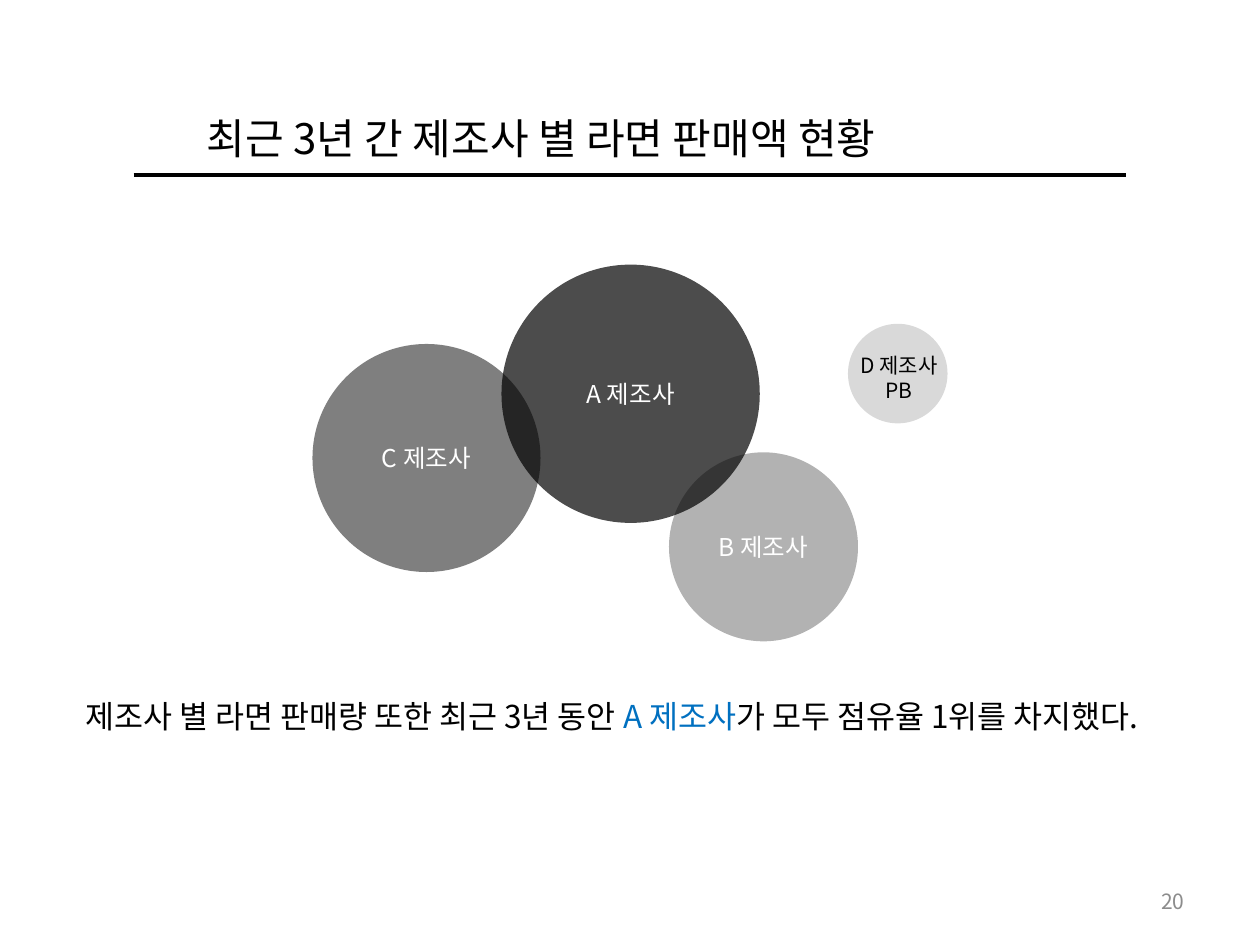
from lxml import etree
from pptx import Presentation
from pptx.dml.color import RGBColor
from pptx.enum.shapes import MSO_CONNECTOR, MSO_SHAPE
from pptx.enum.text import MSO_ANCHOR, MSO_AUTO_SIZE, PP_ALIGN
from pptx.oxml.ns import qn
from pptx.util import Emu, Pt

FONT = "Noto Sans CJK KR"
BLACK, WHITE, GRAY, BLUE = "000000", "FFFFFF", "8C8C8C", "0070C0"
LEFT, CENTER, RIGHT = PP_ALIGN.LEFT, PP_ALIGN.CENTER, PP_ALIGN.RIGHT
TOP, MIDDLE = MSO_ANCHOR.TOP, MSO_ANCHOR.MIDDLE
GROW, FIXED = MSO_AUTO_SIZE.SHAPE_TO_FIT_TEXT, MSO_AUTO_SIZE.NONE
OVAL, STRAIGHT = MSO_SHAPE.OVAL, MSO_CONNECTOR.STRAIGHT
TITLE_ONLY = 5


def px(n):
    """100 px to the inch."""
    return Emu(n * 9144)


def color(code):
    return RGBColor.from_string(code)


class Deck:
    def __init__(self):
        self.file = Presentation()
        self.file.slide_width, self.file.slide_height = px(1000), px(750)
        layout = self.file.slide_layouts[TITLE_ONLY]
        self.slide = self.file.slides.add_slide(layout)
        self.shapes = self.slide.shapes

    def style(self, frame, size, tint, align=LEFT, anchor=TOP, fit=FIXED):
        frame.word_wrap = True
        frame.auto_size = fit
        frame.vertical_anchor = anchor
        for para in frame.paragraphs:
            para.alignment = align
            for run in para.runs:
                run.font.size = Pt(size)
                run.font.name = FONT
                run.font.color.rgb = color(tint)
                east = etree.SubElement(run.font._element, qn("a:ea"))
                east.set("typeface", FONT)

    def title(self, text, x, y, w, h, hang):
        shape = self.shapes.title
        shape.left, shape.top, shape.width, shape.height = map(px, (x, y, w, h))
        frame = shape.text_frame
        frame.text = text
        props = frame.paragraphs[0]._p.get_or_add_pPr()
        props.set("marL", str(px(hang)))
        props.set("indent", str(-px(hang)))
        self.style(frame, 24, BLACK, fit=GROW)

    def rule(self, x1, x2, y):
        line = self.shapes.add_connector(STRAIGHT, px(x1), px(y), px(x2), px(y))
        line.line.color.rgb = color(BLACK)
        line.line.width = Pt(2)
        etree.SubElement(line._element.spPr, qn("a:effectLst"))

    def text(self, parts, x, y, w, h, size, tint=BLACK, **look):
        frame = self.shapes.add_textbox(*map(px, (x, y, w, h))).text_frame
        frame.text = parts[0]
        for part in parts[1:]:
            frame.paragraphs[0].add_run().text = part
        self.style(frame, size, tint, **look)
        return frame

    def circle(self, label, x, y, d, alpha):
        shape = self.shapes.add_shape(OVAL, px(x), px(y), px(d), px(d))
        shape.shadow.inherit = False
        shape.line.fill.background()
        shape.fill.solid()
        shape.fill.fore_color.rgb = color(BLACK)
        fill = shape._element.spPr.find(".//" + qn("a:srgbClr"))
        etree.SubElement(fill, qn("a:alpha")).set("val", str(alpha * 1000))
        if label:
            shape.text_frame.text = label
            self.style(shape.text_frame, 14, WHITE, CENTER, MIDDLE)


def main():
    deck = Deck()

    # Heading
    deck.rule(106, 894, 139)
    deck.title("최근 3년 간 제조사 별 라면 판매액 현황", 154, 84, 693, 50, 50)

    # Page number
    deck.text(["20"], 717, 695, 233, 40, 12, GRAY, align=RIGHT, anchor=MIDDLE)

    # Summary with the leader in blue
    parts = ["제조사 별 라면 판매량 또한 최근 3년 동안 ", "A 제조사",
             "가 모두 점유율 1위를 차지했다."]
    note = deck.text(parts, 58, 548, 883, 40, 18, fit=GROW)
    note.paragraphs[0].runs[1].font.color.rgb = color(BLUE)

    # Makers, sized by sales: label, x, y, diameter, opacity
    for maker in (
        ("A 제조사", 398, 210, 205, 70),
        ("C 제조사", 248, 273, 181, 50),
        ("B 제조사", 531, 359, 150, 30),
        ("", 673, 257, 79, 15),
    ):
        deck.circle(*maker)
    deck.text(["D 제조사\nPB"], 673, 275, 81, 50, 12, align=CENTER, fit=GROW)

    deck.file.save("out.pptx")


if __name__ == "__main__":
    main()
